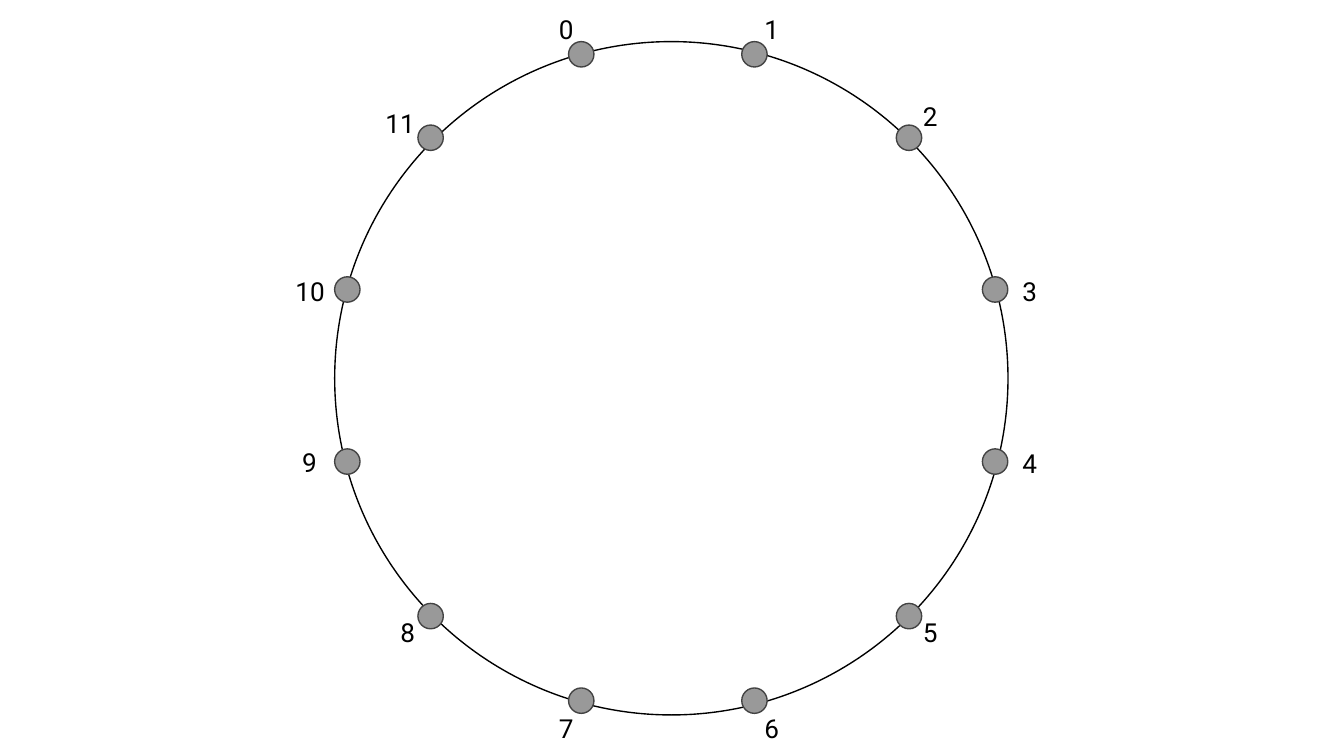
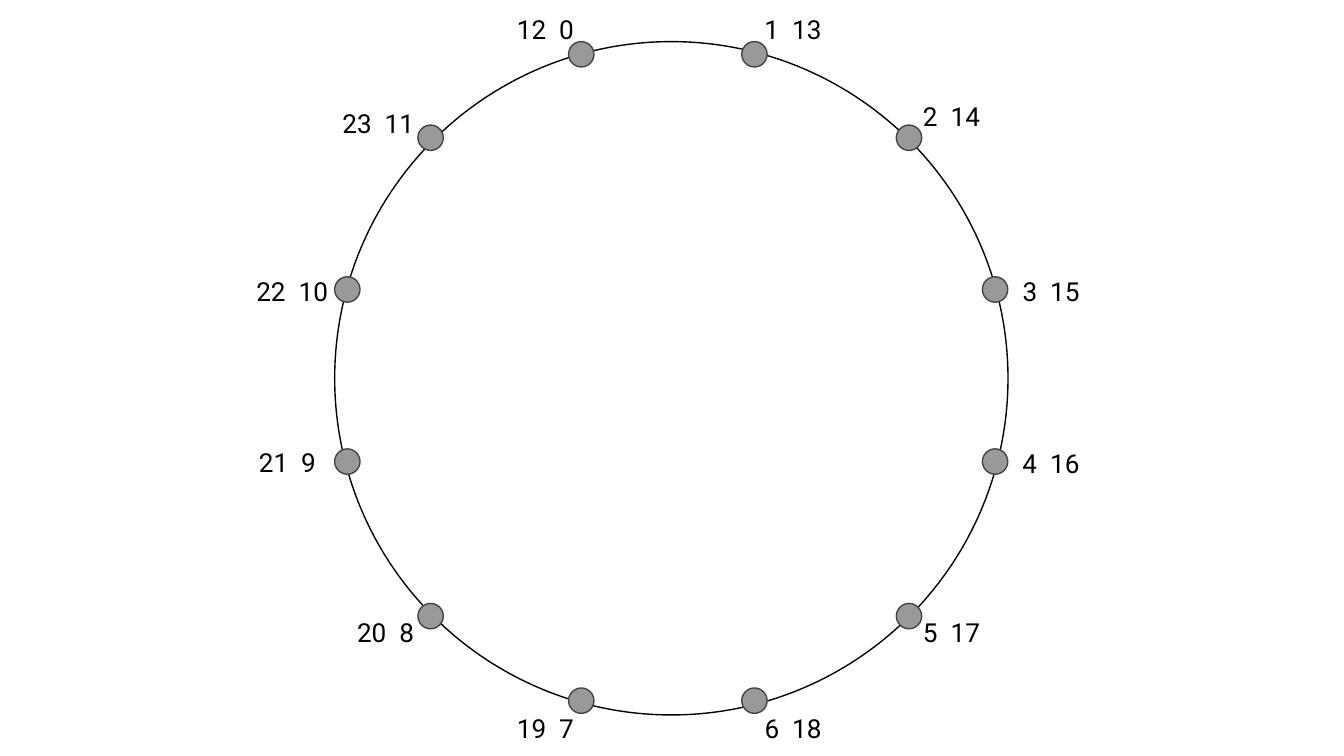
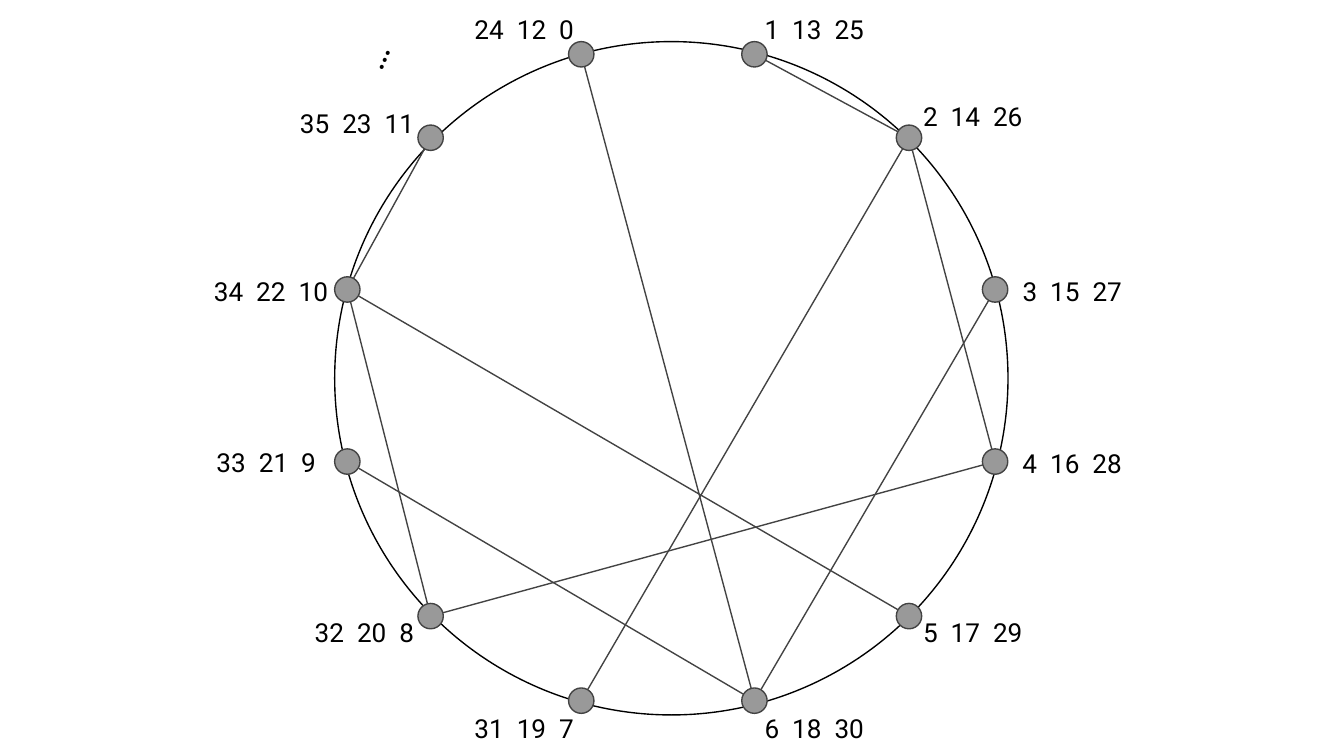
from math import hypot

from lxml import etree
from pptx import Presentation
from pptx.dml.color import RGBColor
from pptx.enum.shapes import MSO_CONNECTOR, MSO_SHAPE
from pptx.enum.text import PP_ALIGN
from pptx.oxml.ns import qn
from pptx.util import Pt

OVAL = MSO_SHAPE.OVAL
LINE = MSO_CONNECTOR.STRAIGHT
LEFT = PP_ALIGN.LEFT
RIGHT = PP_ALIGN.RIGHT
BLACK = "000000"
WHITE = "FFFFFF"
GREY = "999999"
DARK = "434343"
COUNT = 12
DOT = 13.6
TRIM = 7


def color(code):
    return RGBColor.from_string(code)


def add_text(slide, text, x, y, wide, align=LEFT):
    box = slide.shapes.add_textbox(Pt(x), Pt(y), Pt(wide), Pt(31))
    frame = box.text_frame
    frame.word_wrap = True
    frame.margin_left = frame.margin_right = Pt(7.2)
    frame.margin_top = frame.margin_bottom = Pt(7.2)
    para = frame.paragraphs[0]
    para.text = text
    para.alignment = align
    para.font.name = "Roboto"
    para.font.size = Pt(14)
    para.font.color.rgb = color(BLACK)
    return box


cols = [179.3, 223.9, 304.6, 397.4, 480.2, 526.3]
rows = [22.3, 67, 148.3, 240.5, 323.3, 368.6]
col_ids = [2, 3, 4, 5, 5, 4, 3, 2, 1, 0, 0, 1]
row_ids = [0, 0, 1, 2, 3, 4, 5, 5, 4, 3, 2, 1]
spots = [(cols[c], rows[r]) for c, r in zip(col_ids, row_ids)]

edges = [314.6, 402.5, 487.4, 540.7, 540.7, 487.4, 402.5, 314.6, 229, 176.4, 182.9, 229]
starts = {0: 292.3, 7: 292.3, 8: 207.4, 9: 154.8, 10: 151.2, 11: 199.4}
tops = [0, 0, 46.8, 140.4, 232.6, 323.3, 374.4, 374.4, 323.3, 232.2, 140.4, 50.4]
widths = [
    [38.9] * COUNT,
    [52.6, 52.6, 52.6, 46.8, 57.6, 52.6, 46.8, 68.4, 52.6, 57.6, 57.6, 57.6],
    [87.1, 68.4, 87.1, 68.4, 74.2, 68.4, 68.4, 68.4, 68.4, 68.4, 79.9, 79.9],
]

deck = Presentation()
deck.slide_width = Pt(720)
deck.slide_height = Pt(405)

for turn, sizes in enumerate(widths):
    slide = deck.slides.add_slide(deck.slide_layouts[6])

    discs = [(179.3, 22.3, 360.7, WHITE, BLACK)]
    discs += [(x, y, DOT, GREY, DARK) for x, y in spots]
    for x, y, size, fill, edge in discs:
        disc = slide.shapes.add_shape(OVAL, Pt(x), Pt(y), Pt(size), Pt(size))
        disc.shadow.inherit = False
        disc.fill.solid()
        disc.fill.fore_color.rgb = color(fill)
        disc.line.color.rgb = color(edge)
        disc.line.width = Pt(0.75)

    for i, wide in enumerate(sizes):
        nums = [str(i + COUNT * lap) for lap in range(turn + 1)]
        x, align = edges[i], LEFT
        if i in starts:
            nums.reverse()
            if turn:
                x, align = x - wide, RIGHT
            else:
                x = starts[i]
        add_text(slide, "  ".join(nums), x, tops[i], wide, align)

more = add_text(slide, "...", 187.9, 13.7, 28.8)
more.rotation = 292.4
more.text_frame.paragraphs[0].font.bold = True

pairs = {tuple(sorted((i, 2 * i % COUNT))) for i in range(1, COUNT)}
for a, b in sorted(pairs):
    ax, ay = [v + DOT / 2 for v in spots[a]]
    bx, by = [v + DOT / 2 for v in spots[b]]
    span = hypot(bx - ax, by - ay)
    dx, dy = TRIM * (bx - ax) / span, TRIM * (by - ay) / span
    chord = slide.shapes.add_connector(
        LINE, Pt(ax + dx), Pt(ay + dy), Pt(bx - dx), Pt(by - dy)
    )
    chord.line.color.rgb = color(DARK)
    chord.line.width = Pt(0.75)
    etree.SubElement(chord._element.spPr, qn("a:effectLst"))

deck.save("out.pptx")
